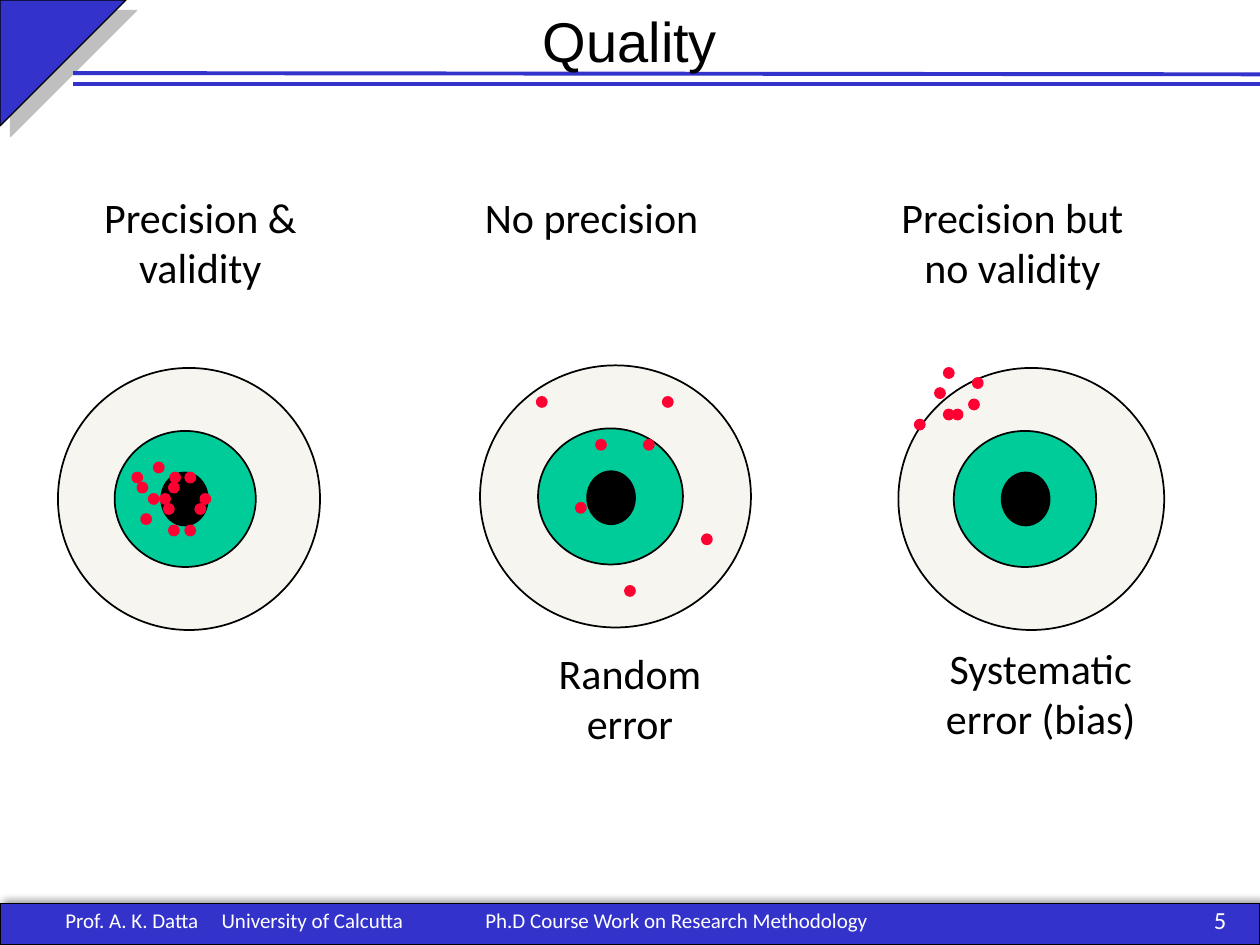
import pptx
import pptx.util
import pptx.dml.color
import pptx.enum.shapes
import pptx.enum.text
import pptx.oxml.ns
import lxml.etree

Inches = pptx.util.Inches
Pt = pptx.util.Pt
RGBColor = pptx.dml.color.RGBColor
KIND = pptx.enum.shapes.MSO_SHAPE
ALIGN = pptx.enum.text.PP_ALIGN
ANCHOR = pptx.enum.text.MSO_ANCHOR
qn = pptx.oxml.ns.qn

BLUE = RGBColor(0x33, 0x33, 0xCC)
CREAM = RGBColor(0xEE, 0xEC, 0xE1)
GREEN = RGBColor(0x00, 0xCC, 0x99)
RED = RGBColor(0xFF, 0x00, 0x33)
BLACK = RGBColor(0, 0, 0)
WHITE = RGBColor(255, 255, 255)

deck = pptx.Presentation()
deck.slide_width = Inches(10)
deck.slide_height = Inches(7.5)
slide = deck.slides.add_slide(deck.slide_layouts[5])
shapes = slide.shapes


def draw(kind, left, top, width, height, fill, line, weight):
    shape = shapes.add_shape(kind, Inches(left), Inches(top), Inches(width), Inches(height))
    shape.shadow.inherit = False
    shape.fill.solid()
    shape.fill.fore_color.rgb = fill
    shape.line.color.rgb = line
    shape.line.width = Pt(weight)
    return shape


def write(text, left, top, width, height, size, color, align, anchor):
    box = shapes.add_textbox(Inches(left), Inches(top), Inches(width), Inches(height))
    frame = box.text_frame
    frame.word_wrap = True
    frame.vertical_anchor = anchor
    frame.text = text
    for para in frame.paragraphs:
        para.alignment = align
        for run in para.runs:
            run.font.name = "Calibri"
            run.font.size = Pt(size)
            run.font.color.rgb = color
    return box


corner = draw(KIND.RIGHT_TRIANGLE, 0, 0, 1, 1, BLUE, BLACK, 0.75)
corner.rotation = 90
for end, top in [(0.67, 0.67), (0.59, 0.58)]:
    rule = shapes.add_connector(pptx.enum.shapes.MSO_CONNECTOR.STRAIGHT,
                                Inches(0.58), Inches(top), Inches(10), Inches(end))
    rule.line.color.rgb = BLUE
    rule.line.width = Pt(2.25)
    lxml.etree.SubElement(rule._element.spPr, qn("a:effectLst"))
band = draw(KIND.RECTANGLE, 0, 7.17, 10, 0.33, BLUE, BLACK, 0.75)

for shape, color, alpha, blur, dist, angle in [
    (corner, "808080", 50, 0, 8.5, 45),
    (band, "000000", 40, 4, 3, 315),
]:
    effects = shape._element.spPr.find(qn("a:effectLst"))
    shade = lxml.etree.SubElement(
        effects, qn("a:outerShdw"), blurRad=str(Pt(blur)), dist=str(Pt(dist)),
        dir=str(angle * 60000), algn="ctr", rotWithShape="0")
    tint = lxml.etree.SubElement(shade, qn("a:srgbClr"), val=color)
    lxml.etree.SubElement(tint, qn("a:alpha"), val=str(alpha * 1000))

title = shapes.title
title._element.getparent().append(title._element)
title.left, title.top = Inches(0), Inches(0)
title.width, title.height = Inches(10), Inches(0.92)
title.text_frame.text = "Quality"
title.text_frame.vertical_anchor = ANCHOR.TOP
head = title.text_frame.paragraphs[0]
head.alignment = ALIGN.CENTER
font = head.runs[0].font
font.name = "Arial"
font.size = Pt(32)
font.color.rgb = BLACK

targets = [
    ([(0.46, 2.92, 2.08, 2.08), (0.91, 3.42, 1.12, 1.08), (1.28, 3.75, 0.37, 0.42)],
     [(1.35, 3.75), (1.09, 3.83), (1.27, 3.92), (1.18, 3.92), (1.34, 3.83),
      (1.34, 4.17), (1.22, 3.67), (1.05, 3.75), (1.47, 3.75), (1.55, 4),
      (1.3, 4), (1.47, 4.17), (1.12, 4.08), (1.59, 3.92)]),
    ([(3.81, 2.9, 2.15, 2.08), (4.27, 3.4, 1.15, 1.08), (4.66, 3.74, 0.38, 0.42)],
     [(4.26, 3.15), (5.57, 4.24), (5.11, 3.49), (4.57, 3.99), (5.26, 3.15),
      (4.96, 4.65), (4.73, 3.49)]),
    ([(7.13, 2.92, 2.11, 2.08), (7.57, 3.42, 1.13, 1.08), (7.95, 3.75, 0.38, 0.42)],
     [(7.49, 2.92), (7.69, 3.17), (7.42, 3.08), (7.56, 3.25), (7.49, 3.25),
      (7.26, 3.33), (7.72, 3)]),
]
for rings, hits in targets:
    for ring, color in zip(rings, [CREAM, GREEN, BLACK]):
        disc = draw(KIND.OVAL, *ring, color, BLACK, 1)
        if color == CREAM:
            tint = disc._element.spPr.find(qn("a:solidFill"))[0]
            lxml.etree.SubElement(tint, qn("a:alpha"), val="50000")
    for left, top in hits:
        draw(KIND.OVAL, left, top, 0.08, 0.08, RED, RED, 1)

for text, left, top, width, height in [
    ("Precision & validity", 0.63, 1.47, 1.92, 0.91),
    ("No precision", 3.52, 1.47, 2.35, 0.5),
    ("Precision but\nno validity", 7.05, 1.47, 1.97, 0.91),
    ("Random error", 4.06, 5.09, 1.88, 0.91),
    ("Systematic\verror (bias)", 7.08, 5.05, 2.36, 0.91),
]:
    write(text, left, top, width, height, 24, BLACK, ALIGN.CENTER, ANCHOR.TOP)

author = write("Prof. A. K. Datta\tUniversity of Calcutta", 0.42, 7.1, 3.17, 0.4,
               12, WHITE, ALIGN.LEFT, ANCHOR.MIDDLE)
props = author.text_frame.paragraphs[0]._p.get_or_add_pPr()
tabs = lxml.etree.SubElement(props, qn("a:tabLst"))
lxml.etree.SubElement(tabs, qn("a:tab"), pos=str(Inches(1.24)), algn="l")
write("5", 9.08, 7.1, 0.75, 0.4, 14, WHITE, ALIGN.RIGHT, ANCHOR.MIDDLE)
write("Ph.D Course Work on Research Methodology", 3.33, 7.1, 4.08, 0.4,
      12, WHITE, ALIGN.CENTER, ANCHOR.MIDDLE)

deck.save("out.pptx")
